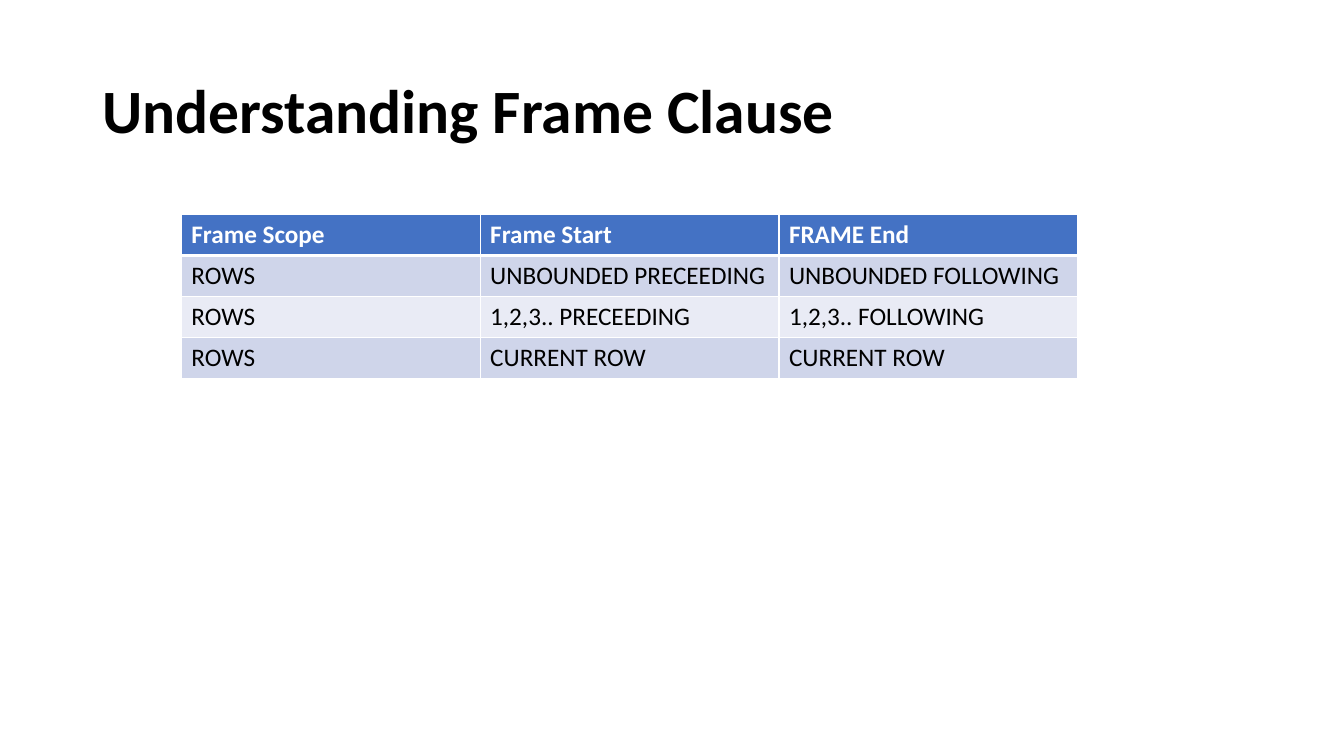
"""Build the frame clause slide with its title and table."""
from dataclasses import dataclass
from typing import Any

from lxml.etree import SubElement
from pptx import Presentation
from pptx.dml.color import RGBColor
from pptx.enum.text import MSO_VERTICAL_ANCHOR as Anchor
from pptx.oxml.ns import qn
from pptx.util import Cm, Pt

BLACK = RGBColor(0x00, 0x00, 0x00)
WHITE = RGBColor(0xFF, 0xFF, 0xFF)
HEADER_BLUE = RGBColor(0x44, 0x72, 0xC4)
BAND_DARK = RGBColor(0xCF, 0xD5, 0xEA)
BAND_LIGHT = RGBColor(0xE9, 0xEB, 0xF5)

COLUMN_WIDTH = Cm(7.53)
ROW_HEIGHT = Cm(1.03)
THIN, THICK = Pt(1), Pt(3)


@dataclass(frozen=True)
class TextFormat:
    """Font values of a text."""

    size: int
    color: RGBColor
    bold: bool


@dataclass(frozen=True)
class FrameRow:
    """One table row with its look."""

    texts: tuple[str, str, str]
    fill: RGBColor
    text_format: TextFormat
    top: int = THIN
    bottom: int = THIN


TITLE = TextFormat(44, BLACK, True)
HEADER = TextFormat(18, WHITE, True)
BODY = TextFormat(18, BLACK, False)

FRAME_ROWS = (
    FrameRow(("Frame Scope", "Frame Start", "FRAME End"), HEADER_BLUE, HEADER, bottom=THICK),
    FrameRow(("ROWS", "UNBOUNDED PRECEEDING", "UNBOUNDED FOLLOWING"), BAND_DARK, BODY, top=THICK),
    FrameRow(("ROWS", "1,2,3.. PRECEEDING", "1,2,3.. FOLLOWING"), BAND_LIGHT, BODY),
    FrameRow(("ROWS", "CURRENT ROW", "CURRENT ROW"), BAND_DARK, BODY),
)


def write_text(paragraph: Any, text: str, text_format: TextFormat) -> None:
    """Add a formatted run to a paragraph."""
    run = paragraph.add_run()
    run.text = text
    values = {"name": "Calibri", "size": Pt(text_format.size), "bold": text_format.bold}
    for name, value in values.items():
        setattr(run.font, name, value)
    run.font.color.rgb = text_format.color


def add_title(slide: Any, text: str) -> None:
    """Add the slide title."""
    shape = slide.shapes.add_textbox(Cm(2.33), Cm(1.01), Cm(29.21), Cm(3.68))
    frame = shape.text_frame
    for name, value in {"word_wrap": True, "vertical_anchor": Anchor.MIDDLE}.items():
        setattr(frame, name, value)
    paragraph = frame.paragraphs[0]
    paragraph.line_spacing = 0.9
    write_text(paragraph, text, TITLE)


def add_borders(cell: Any, row: FrameRow) -> None:
    """Draw white borders around a cell."""
    properties = cell._tc.get_or_add_tcPr()
    widths = {"a:lnL": THIN, "a:lnR": THIN, "a:lnT": row.top, "a:lnB": row.bottom}
    for tag, width in widths.items():
        line = SubElement(properties, qn(tag), w=str(int(width)))
        fill = SubElement(line, qn("a:solidFill"))
        SubElement(fill, qn("a:srgbClr"), val=str(WHITE))


def add_frame_table(slide: Any, rows: tuple[FrameRow, ...]) -> None:
    """Add the table of frame scopes and bounds."""
    column_count = len(rows[0].texts)
    table = slide.shapes.add_table(
        len(rows), column_count, Cm(4.57), Cm(5.41),
        COLUMN_WIDTH * column_count, ROW_HEIGHT * len(rows),
    ).table
    for row_index, row in enumerate(rows):
        for column_index, text in enumerate(row.texts):
            cell = table.cell(row_index, column_index)
            add_borders(cell, row)
            cell.fill.solid()
            cell.fill.fore_color.rgb = row.fill
            write_text(cell.text_frame.paragraphs[0], text, row.text_format)


def main() -> None:
    """Create and save the presentation."""
    presentation = Presentation()
    presentation.slide_width = Cm(33.87)
    presentation.slide_height = Cm(19.05)
    slide = presentation.slides.add_slide(presentation.slide_layouts[6])
    add_title(slide, "Understanding Frame Clause")
    add_frame_table(slide, FRAME_ROWS)
    presentation.save("out.pptx")


main()
